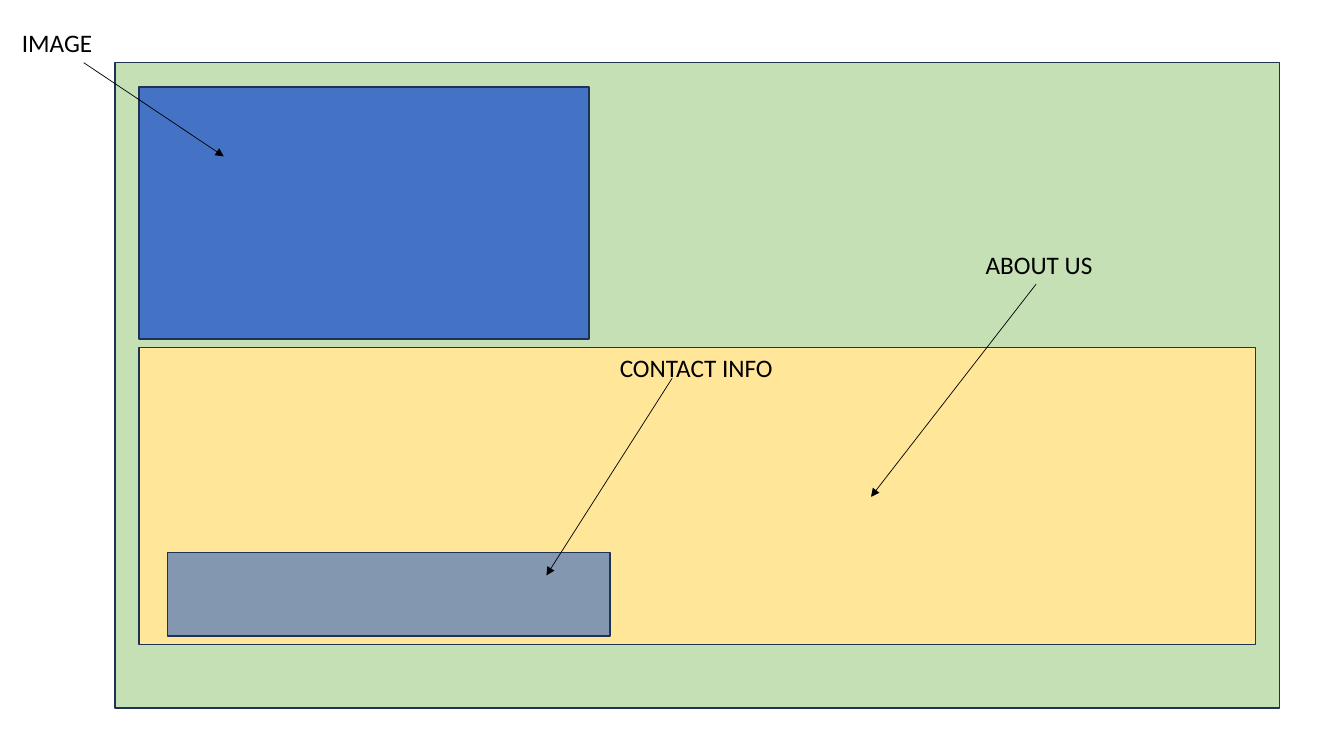
from dataclasses import dataclass

from lxml import etree
from pptx import Presentation
from pptx.dml.color import RGBColor
from pptx.enum.shapes import MSO_CONNECTOR, MSO_SHAPE
from pptx.enum.text import MSO_AUTO_SIZE
from pptx.oxml.ns import qn
from pptx.slide import Slide
from pptx.util import Cm, Pt

RECTANGLE = MSO_SHAPE.RECTANGLE
STRAIGHT = MSO_CONNECTOR.STRAIGHT
FIT_SHAPE = MSO_AUTO_SIZE.SHAPE_TO_FIT_TEXT
BLANK_LAYOUT = 6


@dataclass(frozen=True)
class Theme:
    page: str = "C5E0B4"
    image: str = "4472C4"
    about: str = "FFE699"
    contact: str = "8497B0"
    outline: str = "1E3256"
    ink: str = "000000"
    font: str = "Calibri"
    label_size: float = 18
    outline_width: float = 1
    arrow_width: float = 0.5


THEME = Theme()


@dataclass(frozen=True)
class Box:
    """Left, top, width and height in centimetres."""
    left: float
    top: float
    width: float
    height: float

    def lengths(self) -> tuple[Cm, Cm, Cm, Cm]:
        return Cm(self.left), Cm(self.top), Cm(self.width), Cm(self.height)


@dataclass(frozen=True)
class Arrow:
    """Start and end points in centimetres."""
    start: tuple[float, float]
    end: tuple[float, float]


@dataclass(frozen=True)
class Section:
    """A block of the page layout, with its label and pointer."""
    color: str
    box: Box
    arrow: Arrow
    label: str
    label_box: Box


PAGE = Box(2.9, 1.58, 29.34, 16.26)
LABEL_HEIGHT = 1.02
SECTION_LEFT = 3.5
ABOUT_TOP = 8.76

SECTIONS = (
    Section(THEME.image, Box(SECTION_LEFT, 2.19, 11.35, 6.35),
            Arrow((2.11, 1.58), (5.64, 3.94)),
            "IMAGE", Box(0.3, 0.56, 4.11, LABEL_HEIGHT)),
    Section(THEME.about, Box(SECTION_LEFT, ABOUT_TOP, 28.14, 7.49),
            Arrow((26.11, 7.16), (21.95, 12.52)),
            "ABOUT US", Box(24.59, 6.17, 9.3, LABEL_HEIGHT)),
    Section(THEME.contact, Box(4.22, 13.92, 11.15, 2.11),
            Arrow((16.94, 9.53), (13.77, 14.5)),
            "CONTACT INFO", Box(15.37, ABOUT_TOP, 5.56, LABEL_HEIGHT)),
)


def add_block(slide: Slide, box: Box, color: str) -> None:
    shape = slide.shapes.add_shape(RECTANGLE, *box.lengths())
    shape.shadow.inherit = False
    shape.fill.solid()
    shape.fill.fore_color.rgb = RGBColor.from_string(color)
    shape.line.color.rgb = RGBColor.from_string(THEME.outline)
    shape.line.width = Pt(THEME.outline_width)


def add_arrow(slide: Slide, arrow: Arrow) -> None:
    points = [Cm(value) for value in arrow.start + arrow.end]
    connector = slide.shapes.add_connector(STRAIGHT, *points)
    connector.line.color.rgb = RGBColor.from_string(THEME.ink)
    connector.line.width = Pt(THEME.arrow_width)
    # Arrowhead at the end point, and no inherited shadow
    properties = connector.element.spPr
    etree.SubElement(properties.find(qn("a:ln")), qn("a:tailEnd"), type="triangle")
    etree.SubElement(properties, qn("a:effectLst"))


def add_label(slide: Slide, box: Box, text: str) -> None:
    text_frame = slide.shapes.add_textbox(*box.lengths()).text_frame
    text_frame.word_wrap = True
    text_frame.auto_size = FIT_SHAPE
    paragraph = text_frame.paragraphs[0]
    paragraph.text = text
    paragraph.font.name = THEME.font
    paragraph.font.size = Pt(THEME.label_size)
    paragraph.font.color.rgb = RGBColor.from_string(THEME.ink)


def main() -> None:
    presentation = Presentation()
    presentation.slide_width = Cm(33.87)
    presentation.slide_height = Cm(19.05)
    slide = presentation.slides.add_slide(presentation.slide_layouts[BLANK_LAYOUT])

    # Page background block
    add_block(slide, PAGE, THEME.page)

    # Sections, each with its pointer and label
    for section in SECTIONS:
        add_block(slide, section.box, section.color)
        add_arrow(slide, section.arrow)
        add_label(slide, section.label_box, section.label)

    presentation.save("out.pptx")


if __name__ == "__main__":
    main()
